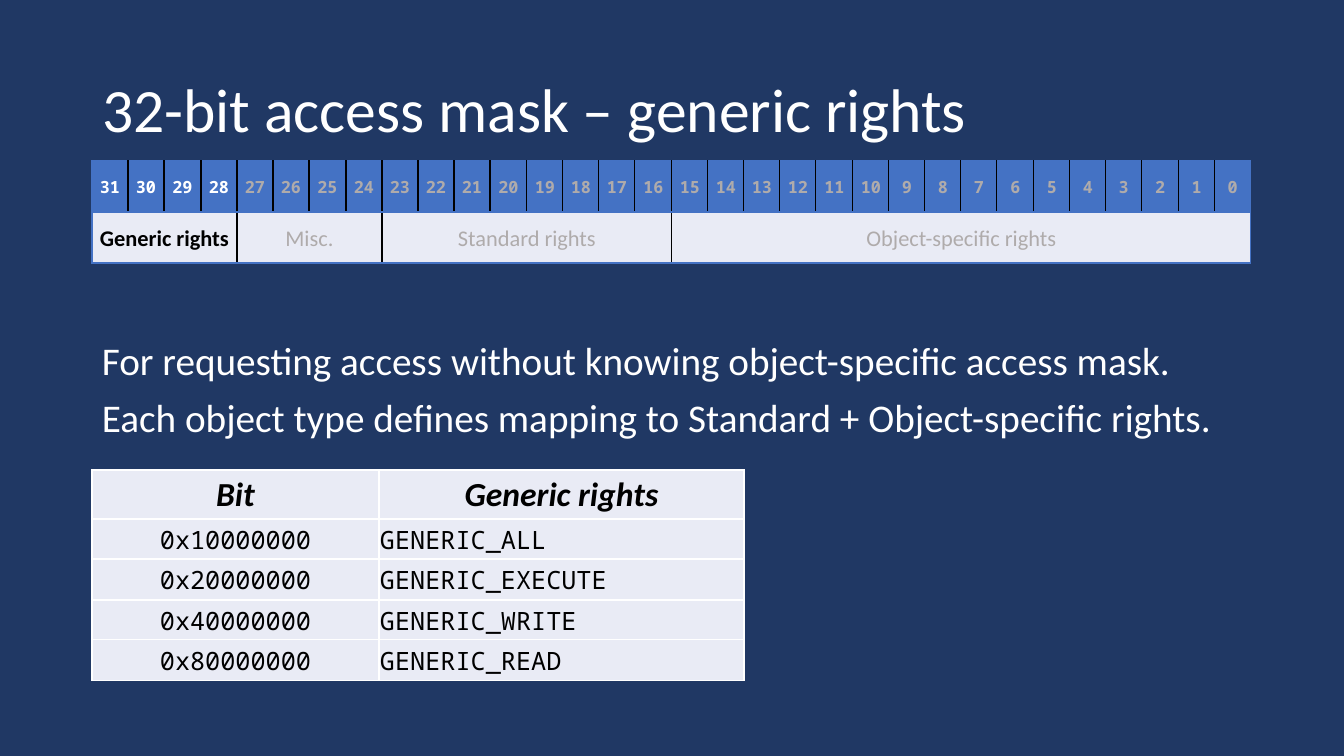
"""Build the slide on generic rights in the 32-bit access mask."""
import dataclasses

import pptx
import pptx.dml.color
import pptx.enum.text
import pptx.oxml
import pptx.oxml.ns
import pptx.util

ANCHOR = pptx.enum.text.MSO_ANCHOR
ALIGN = pptx.enum.text.PP_ALIGN


@dataclasses.dataclass(frozen=True)
class Theme:
    """Colours, fonts and type sizes of the slide."""
    background: str = "203864"
    accent: str = "4472C4"
    pale: str = "E9EBF5"
    white: str = "FFFFFF"
    black: str = "000000"
    muted: str = "AFABAB"
    sans: str = "Calibri"
    mono: str = "Noto Sans Mono"
    title_size: int = 44
    body_size: int = 28
    heading_size: int = 24
    code_size: int = 18
    field_size: int = 16
    bit_size: int = 12


def assign(target, values):
    """Set each named attribute of the target."""
    for name, value in values.items():
        setattr(target, name, value)


def px(length):
    """Turn pixels into EMU."""
    return pptx.util.Emu(round(length * 914400 / 100.8))


def rgb(colour):
    """Turn a hex string into a colour."""
    return pptx.dml.color.RGBColor.from_string(colour)


class SlideBuilder:
    """Hold the theme and the current slide, and add elements to it."""

    def __init__(self, deck, theme):
        """Add a title-only slide with a plain background."""
        self.theme = theme
        self.slide = deck.slides.add_slide(deck.slide_layouts[5])
        self.slide.background.fill.solid()
        self.slide.background.fill.fore_color.rgb = rgb(theme.background)

    def set_text(self, paragraph, text, size, colour, font=None, bold=False,
                 italic=False, **layout):
        """Put formatted text in a paragraph."""
        paragraph.text = text
        assign(paragraph, layout)
        assign(paragraph.font, {"size": pptx.util.Pt(size), "bold": bold,
                                "italic": italic,
                                "name": font or self.theme.sans})
        paragraph.font.color.rgb = rgb(colour)

    def title(self, text, left, top, width, height):
        """Place and fill the title placeholder."""
        heading = self.slide.shapes.title
        assign(heading, {"left": px(left), "top": px(top),
                         "width": px(width), "height": px(height)})
        assign(heading.text_frame, {"vertical_anchor": ANCHOR.MIDDLE,
                                    "word_wrap": True})
        self.set_text(heading.text_frame.paragraphs[0], text,
                      self.theme.title_size, self.theme.white,
                      alignment=ALIGN.LEFT, line_spacing=0.9)

    def body(self, statements, left, top, width, height):
        """Add a text box with one paragraph per statement."""
        frame = self.slide.shapes.add_textbox(
            px(left), px(top), px(width), px(height)).text_frame
        frame.word_wrap = True
        for index, statement in enumerate(statements):
            paragraph = frame.add_paragraph() if index else frame.paragraphs[0]
            self.set_text(paragraph, statement, self.theme.body_size,
                          self.theme.white, line_spacing=0.9,
                          space_before=pptx.util.Pt(10 if index else 0))

    def table(self, left, top, widths, heights):
        """Add an unbanded table with the given columns and rows."""
        grid = self.slide.shapes.add_table(
            len(heights), len(widths), px(left), px(top),
            px(sum(widths)), px(sum(heights))).table
        assign(grid, {"first_row": False, "horz_banding": False})
        for column, width in zip(grid.columns, widths):
            column.width = px(width)
        for row, height in zip(grid.rows, heights):
            row.height = px(height)
        return grid

    def cell(self, cell, fill, borders, side, top=0):
        """Give a cell its insets, borders (left, right, top, bottom) and fill."""
        assign(cell, {"margin_left": px(side), "margin_right": px(side),
                      "margin_top": px(top), "margin_bottom": 0,
                      "vertical_anchor": ANCHOR.MIDDLE})
        properties = cell._tc.get_or_add_tcPr()
        for edge, colour in zip("LRTB", borders):
            properties.append(pptx.oxml.parse_xml(
                f'<a:ln{edge} {pptx.oxml.ns.nsdecls("a")} w="12700">'
                f'<a:solidFill><a:srgbClr val="{colour}"/></a:solidFill>'
                f'</a:ln{edge}>'))
        cell.fill.solid()
        cell.fill.fore_color.rgb = rgb(fill)

    def rights_table(self, rows, left, top, widths, heights):
        """Add the table of generic rights under a heading row."""
        theme = self.theme
        grid = self.table(left, top, widths, heights)
        heading = {"size": theme.heading_size, "bold": True, "italic": True}
        code = {"size": theme.code_size, "font": theme.mono}
        for r, row in enumerate(rows):
            for c, text in enumerate(row):
                cell = grid.cell(r, c)
                self.cell(cell, theme.pale, [theme.white] * 4, side=1, top=1)
                self.set_text(cell.text_frame.paragraphs[0], text,
                              colour=theme.black,
                              alignment=ALIGN.LEFT if r and c else ALIGN.CENTER,
                              **(code if r else heading))

    def mask_table(self, fields, left, top, width, heights):
        """Add the bit numbers with the named fields below them."""
        theme = self.theme
        bits = sum(count for _, count in fields)
        edges = [round(i * width / bits) for i in range(bits + 1)]
        widths = [end - start for start, end in zip(edges, edges[1:])]
        grid = self.table(left, top, widths, heights)

        def fill(row, start, count, text, colour, **style):
            left_edge = theme.black if start else theme.accent
            right_edge = theme.black if start + count < bits else theme.accent
            cell = grid.cell(row, start)
            self.cell(cell, theme.pale if row else theme.accent,
                      [left_edge, right_edge, theme.accent, theme.accent],
                      side=7)
            self.set_text(cell.text_frame.paragraphs[0], text, colour=colour,
                          alignment=ALIGN.CENTER, line_spacing=1.07, **style)

        start = 0
        for name, count in fields:
            active = start == 0
            for bit in range(start, start + count):
                fill(0, bit, 1, str(bits - 1 - bit),
                     theme.white if active else theme.muted,
                     size=theme.bit_size, font=theme.mono, bold=True)
            grid.cell(1, start).merge(grid.cell(1, start + count - 1))
            fill(1, start, count, name,
                 theme.black if active else theme.muted,
                 size=theme.field_size, bold=active)
            start += count


def main():
    """Build and save the deck."""
    deck = pptx.Presentation()
    assign(deck, {"slide_width": px(1344), "slide_height": px(756)})
    builder = SlideBuilder(deck, Theme())
    builder.title("32-bit access mask – generic rights", 92, 40, 1159, 146)
    builder.body([
        "For requesting access without knowing object-specific access mask.",
        "Each object type defines mapping to Standard + Object-specific rights.",
    ], 92, 337, 1159, 348)
    builder.rights_table([
        ("Bit", "Generic rights"),
        ("0x10000000", "GENERIC_ALL"),
        ("0x20000000", "GENERIC_EXECUTE"),
        ("0x40000000", "GENERIC_WRITE"),
        ("0x80000000", "GENERIC_READ"),
    ], 92, 470, [287, 365], [49, 40, 41, 40, 41])
    builder.mask_table([
        ("Generic rights", 4), ("Misc.", 4), ("Standard rights", 8),
        ("Object-specific rights", 16),
    ], 92, 161, 1159, [51, 51])
    deck.save("out.pptx")


if __name__ == "__main__":
    main()
